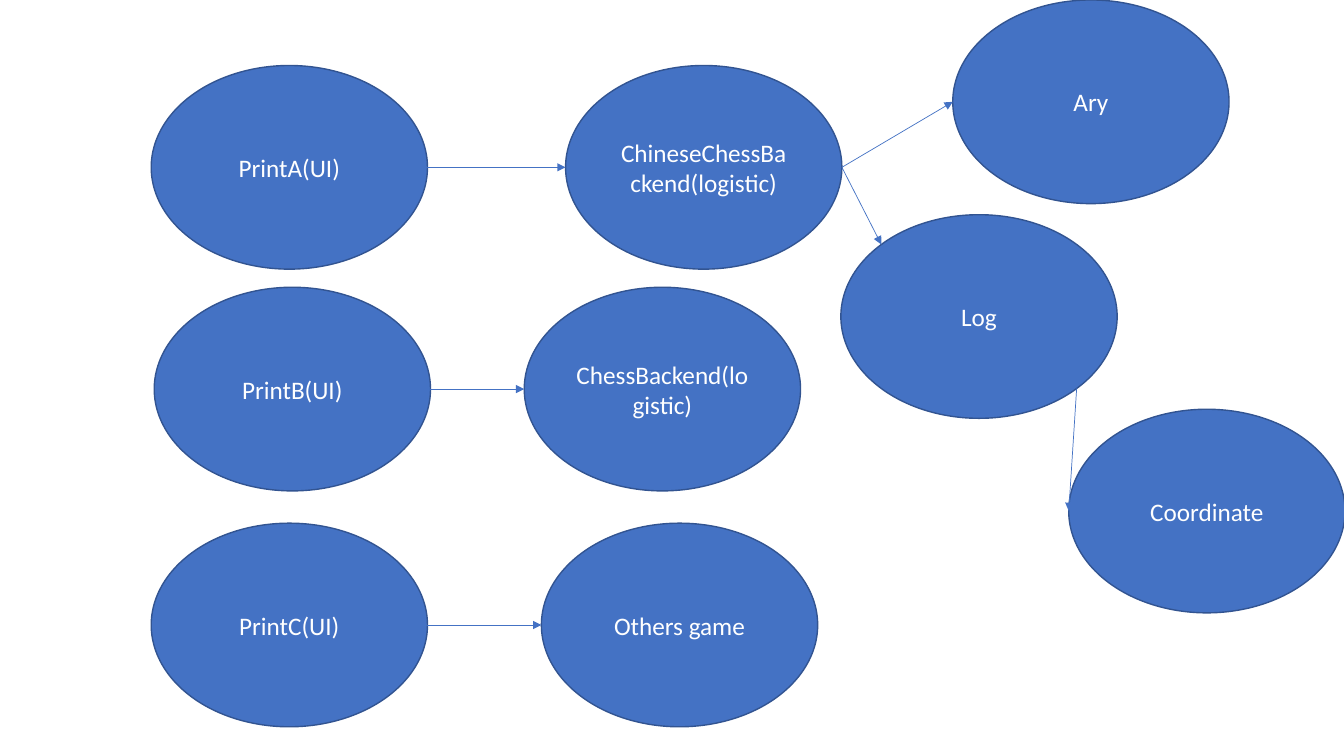
import math
from dataclasses import dataclass

from lxml import etree
from pptx import Presentation
from pptx.dml.color import RGBColor
from pptx.enum.shapes import MSO_CONNECTOR, MSO_SHAPE
from pptx.enum.text import MSO_ANCHOR, PP_ALIGN
from pptx.oxml.ns import qn
from pptx.shapes.autoshape import Shape
from pptx.slide import Slide
from pptx.util import Emu, Pt

ELLIPSE = MSO_SHAPE.OVAL
STRAIGHT = MSO_CONNECTOR.STRAIGHT
CENTER = PP_ALIGN.CENTER
MIDDLE = MSO_ANCHOR.MIDDLE

BLUE = RGBColor(0x44, 0x72, 0xC4)
DARK_BLUE = RGBColor(0x32, 0x54, 0x91)
WHITE = RGBColor(0xFF, 0xFF, 0xFF)

EMU_PER_PX = 9144
SLIDE_WIDTH, SLIDE_HEIGHT = 1333, 750
MODULE_WIDTH, MODULE_HEIGHT = 274, 202
BLANK_LAYOUT = 6

TOP_LEFT, LEFT, BOTTOM_RIGHT, RIGHT = 1, 2, 5, 6


@dataclass(frozen=True)
class Module:
    label: str
    left: int
    top: int


@dataclass(frozen=True)
class Call:
    caller: str
    callee: str
    caller_site: int = RIGHT
    callee_site: int = LEFT


MODULES = [
    Module("PrintA(UI)", 150, 65),
    Module("ChineseChessBackend(logistic)", 561, 65),
    Module("Ary", 945, 0),
    Module("Coordinate", 1060, 406),
    Module("Log", 834, 213),
    Module("ChessBackend(logistic)", 520, 285),
    Module("PrintB(UI)", 153, 285),
    Module("PrintC(UI)", 150, 519),
    Module("Others game", 537, 519),
]

CALLS = [
    Call("ChineseChessBackend(logistic)", "Ary"),
    Call("Log", "Coordinate", caller_site=BOTTOM_RIGHT),
    Call("ChineseChessBackend(logistic)", "Log", callee_site=TOP_LEFT),
    Call("PrintA(UI)", "ChineseChessBackend(logistic)"),
    Call("PrintB(UI)", "ChessBackend(logistic)"),
    Call("PrintC(UI)", "Others game"),
]


def px(length: int) -> Emu:
    return Emu(length * EMU_PER_PX)


def draw_module(slide: Slide, module: Module) -> Shape:
    ellipse = slide.shapes.add_shape(
        ELLIPSE, px(module.left), px(module.top), px(MODULE_WIDTH), px(MODULE_HEIGHT)
    )
    ellipse.shadow.inherit = False
    ellipse.fill.solid()
    ellipse.fill.fore_color.rgb = BLUE
    ellipse.line.color.rgb = DARK_BLUE
    ellipse.line.width = Pt(1)
    frame = ellipse.text_frame
    frame.word_wrap = True
    frame.vertical_anchor = MIDDLE
    label = frame.paragraphs[0]
    label.text = module.label
    label.alignment = CENTER
    label.font.name = "Calibri"
    label.font.size = Pt(18)
    label.font.color.rgb = WHITE
    return ellipse


def site_point(ellipse: Shape, site: int) -> tuple[Emu, Emu]:
    angle = math.radians(90 + 45 * site)
    x = ellipse.left + ellipse.width / 2 * (1 + math.cos(angle))
    y = ellipse.top + ellipse.height / 2 * (1 - math.sin(angle))
    return Emu(round(x)), Emu(round(y))


def draw_call(slide: Slide, call: Call, ellipses: dict[str, Shape]) -> None:
    caller, callee = ellipses[call.caller], ellipses[call.callee]
    arrow = slide.shapes.add_connector(
        STRAIGHT, *site_point(caller, call.caller_site), *site_point(callee, call.callee_site)
    )
    arrow.line.color.rgb = BLUE
    arrow.line.width = Pt(0.5)
    properties = arrow._element.spPr
    etree.SubElement(properties.find(qn("a:ln")), qn("a:tailEnd"), type="triangle")
    etree.SubElement(properties, qn("a:effectLst"))
    joints = arrow._element.find(f".//{qn('p:cNvCxnSpPr')}")
    for tag, ellipse, site in (
        ("a:stCxn", caller, call.caller_site),
        ("a:endCxn", callee, call.callee_site),
    ):
        etree.SubElement(joints, qn(tag), id=str(ellipse.shape_id), idx=str(site))


def main() -> None:
    presentation = Presentation()
    presentation.slide_width = px(SLIDE_WIDTH)
    presentation.slide_height = px(SLIDE_HEIGHT)
    slide = presentation.slides.add_slide(presentation.slide_layouts[BLANK_LAYOUT])
    ellipses = {module.label: draw_module(slide, module) for module in MODULES}
    for call in CALLS:
        draw_call(slide, call, ellipses)
    presentation.save("out.pptx")


if __name__ == "__main__":
    main()
